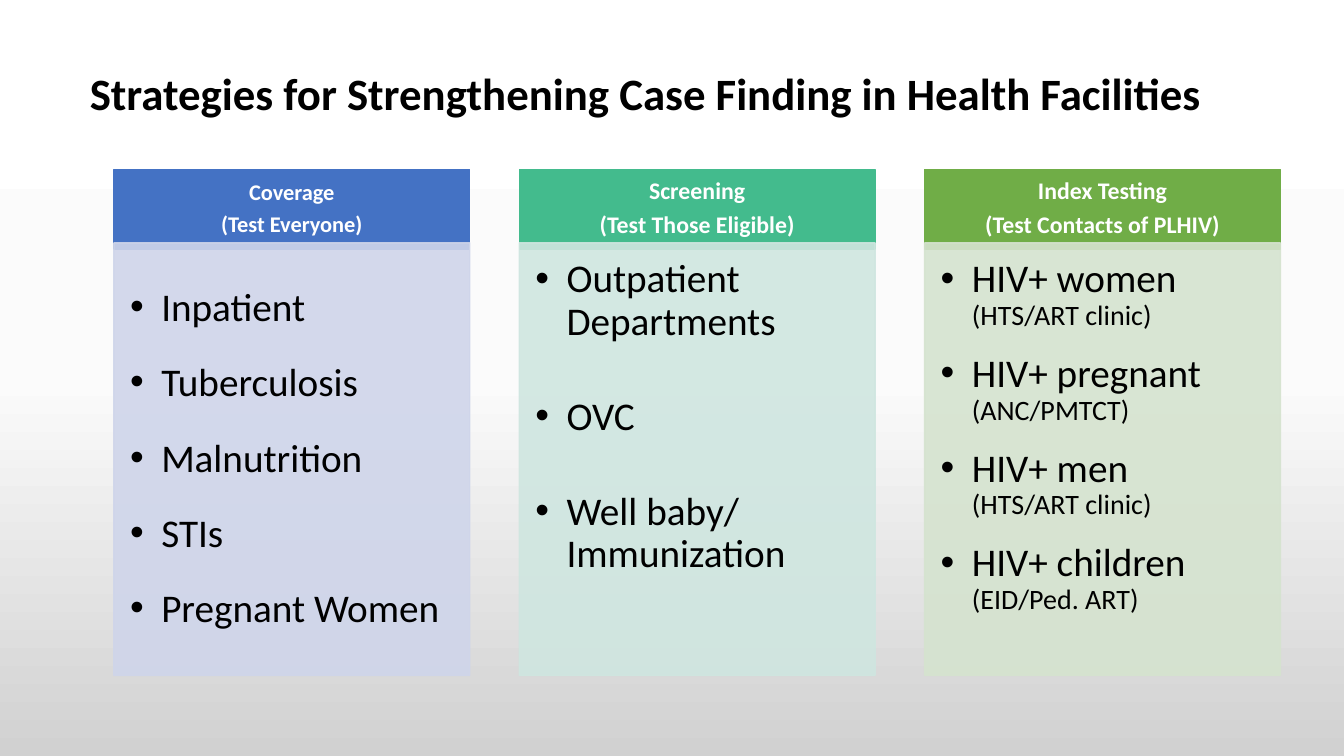
from copy import deepcopy

from lxml.etree import SubElement
from pptx import Presentation
from pptx.dml.color import RGBColor
from pptx.enum.shapes import MSO_SHAPE
from pptx.enum.text import MSO_ANCHOR, MSO_AUTO_SIZE, PP_ALIGN
from pptx.oxml.ns import qn
from pptx.util import Inches, Pt

FONT = "Calibri"
COLUMN_LEFT, COLUMN_TOP = 1.13, 1.68
COLUMN_WIDTH, COLUMN_HEIGHT, COLUMN_PITCH = 3.53, 5.02, 4.02
HEADER_HEIGHT, LIST_OFFSET = 0.79, 0.73

STRATEGIES = [
    {
        "heading": ["Coverage", "(Test Everyone)"],
        "heading_size": 16, "dark": "4472C4", "light": "CFD5EA",
        "line_spacing": 1.5, "gap": 3.3,
        "items": [["Inpatient"], ["Tuberculosis"], ["Malnutrition"],
                  ["STIs"], ["Pregnant Women"]],
    },
    {
        "heading": ["Screening", "(Test Those Eligible)"],
        "heading_size": 17, "dark": "43BB8D", "light": "CFE6E0",
        "line_spacing": 0.9, "gap": 37.6,
        "items": [["Outpatient Departments"], ["OVC"],
                  ["Well baby/ Immunization"]],
    },
    {
        "heading": ["Index Testing", "(Test Contacts of PLHIV)"],
        "heading_size": 17, "dark": "70AD47", "light": "D5E3CF",
        "line_spacing": 0.9, "gap": 15.7,
        "items": [["HIV+ women", "(HTS/ART clinic)"],
                  ["HIV+ pregnant", "(ANC/PMTCT)"],
                  ["HIV+ men", "(HTS/ART clinic)"],
                  ["HIV+ children", "(EID/Ped. ART)"]],
    },
]


def rgb(value):
    """Turn a hex string into a colour."""
    return RGBColor.from_string(value)


def place(shape, left, top, width, height):
    """Move and size a shape, in inches."""
    shape.left, shape.top = Inches(left), Inches(top)
    shape.width, shape.height = Inches(width), Inches(height)


def paint(shape, color, opacity=100):
    """Fill and outline a shape in one colour."""
    shape.fill.solid()
    shape.fill.fore_color.rgb = rgb(color)
    shape.line.color.rgb = rgb(color)
    shape.line.width = Pt(1)
    if opacity < 100:
        for tint in shape.element.spPr.iter(qn("a:srgbClr")):
            SubElement(tint, qn("a:alpha"), val=str(opacity * 1000))


def set_frame(frame, anchor, left, top, right, bottom):
    """Set the anchor and the insets of a text frame."""
    frame.word_wrap = True
    frame.auto_size = MSO_AUTO_SIZE.NONE
    frame.vertical_anchor = anchor
    frame.margin_left, frame.margin_top = Inches(left), Inches(top)
    frame.margin_right, frame.margin_bottom = Inches(right), Inches(bottom)


def add_paragraph(frame, index, align, line_spacing, space_after):
    """Return the paragraph at index, spaced and aligned."""
    paragraph = frame.add_paragraph() if index else frame.paragraphs[0]
    paragraph.alignment = align
    paragraph.line_spacing = line_spacing
    paragraph.space_before = Pt(0)
    paragraph.space_after = Pt(space_after)
    return paragraph


def add_run(paragraph, text, size, color, bold=False):
    """Add one formatted run."""
    run = paragraph.add_run()
    run.text = text
    run.font.name = FONT
    run.font.size = Pt(size)
    run.font.bold = bold
    run.font.color.rgb = rgb(color)


def add_bullet(paragraph):
    """Give a paragraph a round bullet with a hanging indent."""
    properties = paragraph._p.get_or_add_pPr()
    properties.set("marL", str(Inches(0.31)))
    properties.set("indent", str(-Inches(0.31)))
    SubElement(properties, qn("a:buFont"), typeface="Arial")
    SubElement(properties, qn("a:buChar"), char="•")


def paint_background(slide):
    """Shade the slide from white down to grey."""
    fill = slide.background.fill
    fill.gradient()
    fill.gradient_angle = 270
    stop_list = fill._fill._gradFill.find(qn("a:gsLst"))
    stop_list.insert(1, deepcopy(stop_list[0]))
    shades = [(0, "FFFFFF"), (0.5, "FBFBFB"), (1, "D1D1D1")]
    for stop, (position, color) in zip(fill.gradient_stops, shades):
        stop.position = position
        stop.color.rgb = rgb(color)


def fill_title(title, left, top, width, height):
    """Place and write the slide title."""
    place(title, left, top, width, height)
    set_frame(title.text_frame, MSO_ANCHOR.MIDDLE, 0.1, 0.05, 0.1, 0.05)
    paragraph = add_paragraph(title.text_frame, 0, PP_ALIGN.LEFT, 0.9, 0)
    add_run(paragraph,
            "Strategies for Strengthening Case Finding in Health Facilities",
            32, "000000", True)


def add_header(slide, strategy, left, top, width, height):
    """Draw the coloured heading of a strategy."""
    header = slide.shapes.add_shape(
        MSO_SHAPE.RECTANGLE, Inches(left), Inches(top),
        Inches(width), Inches(height))
    header.shadow.inherit = False
    paint(header, strategy["dark"])
    set_frame(header.text_frame, MSO_ANCHOR.MIDDLE, 0.13, 0.08, 0.13, 0.08)
    size = strategy["heading_size"]
    for index, text in enumerate(strategy["heading"]):
        paragraph = add_paragraph(header.text_frame, index,
                                  PP_ALIGN.CENTER, 0.9, size * 0.35)
        add_run(paragraph, text, size, "FFFFFF", True)


def fill_list(body, strategy, left, top, width, height):
    """Place the list of a strategy over the foot of its heading."""
    body.element.getparent().append(body.element)
    place(body, left, top, width, height)
    paint(body, strategy["light"], 90)
    set_frame(body.text_frame, MSO_ANCHOR.TOP, 0.16, 0.16, 0.22, 0.24)
    for index, (item, *details) in enumerate(strategy["items"]):
        paragraph = add_paragraph(body.text_frame, index, PP_ALIGN.LEFT,
                                  strategy["line_spacing"], strategy["gap"])
        add_bullet(paragraph)
        add_run(paragraph, item, 28, "000000")
        for detail in details:
            paragraph.add_line_break()
            add_run(paragraph, detail, 20, "000000")


def add_column(slide, body, strategy, left, top, width, height):
    """Build one strategy: heading above, list below."""
    add_header(slide, strategy, left, top, width, HEADER_HEIGHT)
    fill_list(body, strategy, left, top + LIST_OFFSET,
              width, height - LIST_OFFSET)


def main():
    """Build and save the slide."""
    presentation = Presentation()
    presentation.slide_width = Inches(13.33)
    presentation.slide_height = Inches(7.5)
    slide = presentation.slides.add_slide(
        presentation.slide_layouts.get_by_name("Comparison"))
    paint_background(slide)
    title, *bodies = slide.placeholders
    fill_title(title, 0.79, 0.23, 12.25, 1.45)
    spare = bodies.pop()
    spare.element.getparent().remove(spare.element)
    for index, (body, strategy) in enumerate(zip(bodies, STRATEGIES)):
        add_column(slide, body, strategy, COLUMN_LEFT + index * COLUMN_PITCH,
                   COLUMN_TOP, COLUMN_WIDTH, COLUMN_HEIGHT)
    presentation.save("out.pptx")


if __name__ == "__main__":
    main()
